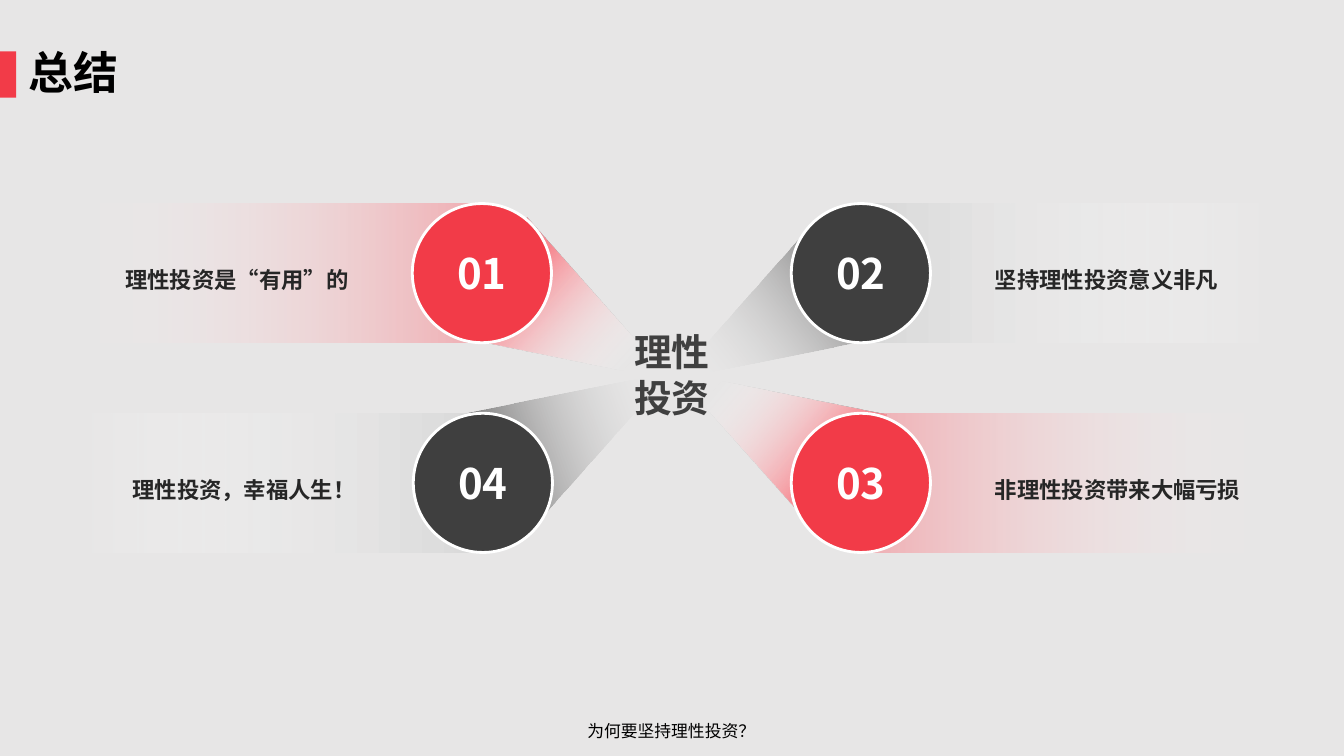
from lxml.etree import SubElement
from pptx import Presentation
from pptx.dml.color import RGBColor
from pptx.enum.shapes import MSO_SHAPE as Shape
from pptx.enum.text import MSO_ANCHOR as Anchor, MSO_AUTO_SIZE as AutoSize, PP_ALIGN as Align
from pptx.oxml.ns import qn
from pptx.util import Pt

COLORS = {
    "back": "E7E6E6", "red": "F23B48", "pink": "F78991", "dark": "3F3F3F",
    "silver": "D9D9D9", "white": "FFFFFF", "black": "000000",
    "center": "404040", "label": "262626",
}
CIRCLE = 99.4
BAND_WIDTH = 294.5
MIDDLE = 480.24
TOP_ROW, BOTTOM_ROW = 145.4, 295.2


class SummarySlide:
    """Hold the style and the current slide, and draw its elements."""

    font_name = "Noto Sans CJK SC"

    def __init__(self, presentation):
        self.slide = presentation.slides.add_slide(presentation.slide_layouts[5])
        self.shapes = self.slide.shapes
        self.paint(self.slide.background.fill, "back")

    def paint(self, fill, color):
        fill.solid()
        fill.fore_color.rgb = RGBColor.from_string(COLORS[color])

    def fade(self, shape, stops, angle):
        shape.fill.solid()
        properties = shape._element.spPr
        solid = properties.find(qn("a:solidFill"))
        gradient = SubElement(properties, qn("a:gradFill"), rotWithShape="1")
        stop_list = SubElement(gradient, qn("a:gsLst"))
        for position, color, opacity in stops:
            stop = SubElement(stop_list, qn("a:gs"), pos=str(position * 1000))
            tint = SubElement(stop, qn("a:srgbClr"), val=COLORS[color])
            SubElement(tint, qn("a:alpha"), val=str(opacity * 1000))
        SubElement(gradient, qn("a:lin"), ang=str(angle * 60000), scaled="0")
        properties.replace(solid, gradient)

    def set_text(self, shape, lines, size, color, bold=True, margins=(0, 0, 0, 0),
                 anchor=Anchor.MIDDLE, wrap=True, **paragraph_format):
        frame = shape.text_frame
        left, top, right, bottom = map(Pt, margins)
        frame_format = {
            "margin_left": left, "margin_top": top, "margin_right": right,
            "margin_bottom": bottom, "vertical_anchor": anchor,
            "word_wrap": wrap, "auto_size": AutoSize.NONE,
        }
        for name, value in frame_format.items():
            setattr(frame, name, value)
        frame.text = "\n".join(lines)
        for paragraph in frame.paragraphs:
            for name, value in paragraph_format.items():
                setattr(paragraph, name, value)
            font = paragraph.runs[0].font
            for name, value in {"size": Pt(size), "bold": bold, "name": self.font_name}.items():
                setattr(font, name, value)
            self.paint(font.fill, color)
            SubElement(font._element, qn("a:ea"), typeface=self.font_name)

    def title(self, text, box):
        heading = self.shapes.title
        for name, value in zip(("left", "top", "width", "height"), map(Pt, box)):
            setattr(heading, name, value)
        self.set_text(heading, [text], 32, "black", alignment=Align.LEFT,
                      line_spacing=0.9, space_before=Pt(10))

    def text(self, lines, box, size, color, **text_format):
        label = self.shapes.add_textbox(*map(Pt, box))
        self.set_text(label, lines, size, color, alignment=Align.CENTER, **text_format)

    def block(self, kind, box):
        shape = self.shapes.add_shape(kind, *map(Pt, box))
        shape.shadow.inherit = False
        shape.line.fill.background()
        return shape

    def accent(self, box):
        marker = self.block(Shape.ROUNDED_RECTANGLE, box)
        marker.adjustments[0] = 0
        self.paint(marker.fill, "red")

    def beam(self, corners, stops, angle):
        points = [(Pt(x), Pt(y)) for x, y in corners]
        builder = self.shapes.build_freeform(*points[0], scale=1.0)
        builder.add_line_segments(points[1:], close=True)
        ray = builder.convert_to_shape()
        ray.shadow.inherit = False
        ray.line.fill.background()
        self.fade(ray, stops, angle)

    def band(self, text, left, top, on_left, stops):
        strip = self.block(Shape.RECTANGLE, (left, top, BAND_WIDTH, CIRCLE))
        self.fade(strip, stops, 180 if on_left else 0)
        outer, inner = 8.6, 93.6
        margins = (outer, 5.8, inner, 5.8) if on_left else (inner, 5.8, outer, 5.8)
        self.set_text(strip, [text], 16, "label", margins=margins, line_spacing=1.5,
                      alignment=Align.RIGHT if on_left else Align.LEFT)

    def number(self, text, left, top, color):
        badge = self.block(Shape.OVAL, (left, top, CIRCLE, CIRCLE))
        self.paint(badge.fill, color)
        self.paint(badge.line.fill, "white")
        badge.line.width = Pt(2)
        self.set_text(badge, [text], 30, "white", wrap=False, alignment=Align.CENTER)


def main():
    """Build the summary slide and save it."""
    presentation = Presentation()
    presentation.slide_width, presentation.slide_height = Pt(960), Pt(540)
    summary = SummarySlide(presentation)
    summary.accent((0, 36.7, 11.5, 33.1))
    summary.title("总结", (20.2, 36.7, 902.9, 33.1))
    summary.text(["为何要坚持理性投资？"], (317.5, 511.2, 324, 28.8), 12, "black",
                 bold=False, anchor=Anchor.TOP, margins=(7.2, 3.6, 7.2, 3.6))

    beam_stops = {
        "red": [(16, "white", 0), (67, "pink", 100)],
        "dark": [(0, "dark", 100), (100, "white", 0)],
    }
    band_stops = {
        "red": [(0, "pink", 60), (100, "white", 0)],
        "dark": [(0, "silver", 100), (100, "white", 0)],
    }
    points = [
        ("01", "理性投资是“有用”的", "red", 48.2, 294.5, TOP_ROW, 222),
        ("04", "理性投资，幸福人生！", "dark", 53.3, 295.2, BOTTOM_ROW, 340),
        ("02", "坚持理性投资意义非凡", "dark", 617, 565.2, TOP_ROW, 142),
        ("03", "非理性投资带来大幅亏损", "red", 617, 565.2, BOTTOM_ROW, 40),
    ]
    for number, text, color, band_left, circle_left, top, angle in points:
        side = -1 if circle_left < MIDDLE else 1
        apex, rise = (271.4, -1) if top == TOP_ROW else (265.2, 1)
        corners = [(MIDDLE + side * reach, apex + rise * drop)
                   for reach, drop in ((0.72, 0), (103.68, 115.9), (152.64, 31))]
        summary.beam(corners, beam_stops[color], angle)

    summary.text(["理性", "投资"], (401.8, 221, 156.2, 92.9), 27, "center")
    for number, text, color, band_left, circle_left, top, angle in points:
        summary.band(text, band_left, top, circle_left < MIDDLE, band_stops[color])
        summary.number(number, circle_left, top, color)
    presentation.save("out.pptx")


if __name__ == "__main__":
    main()
